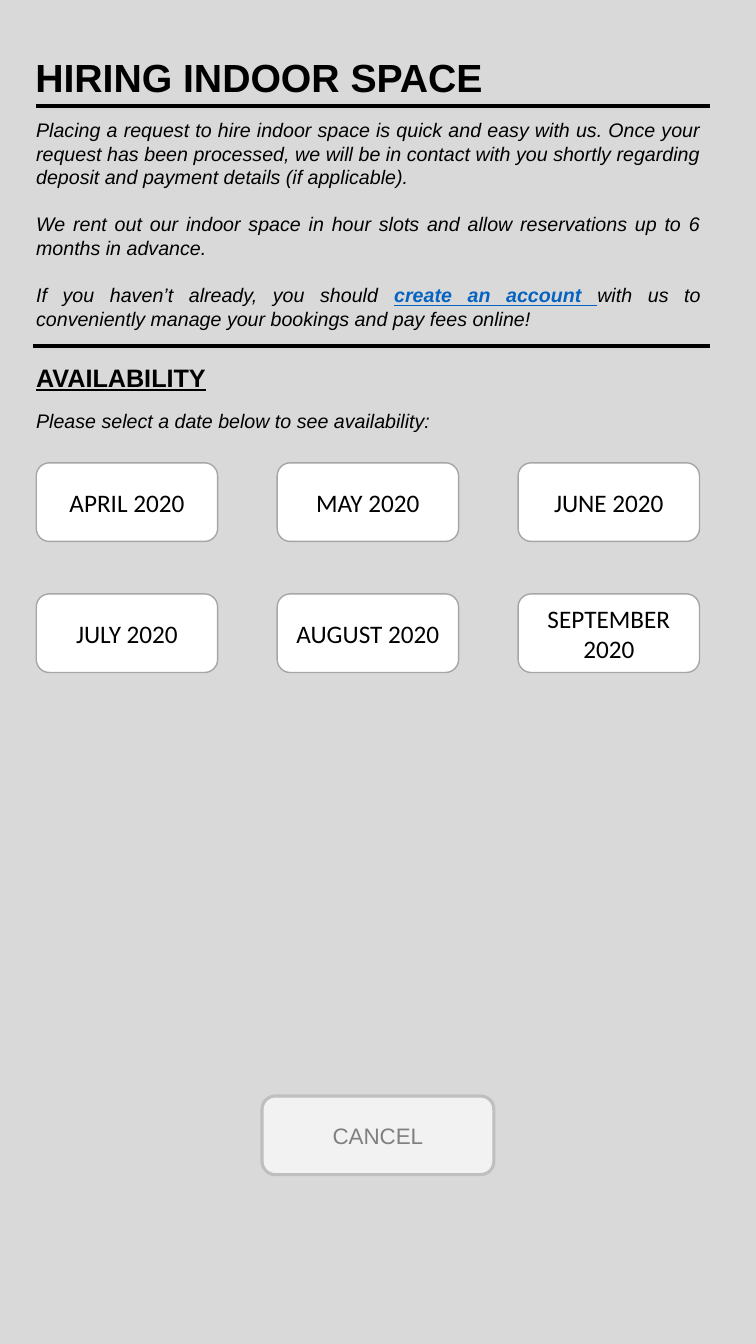
import pptx
import pptx.util
import pptx.dml.color
import pptx.enum.shapes
import pptx.enum.text
import pptx.oxml.ns
import lxml.etree

PX = 9144
HUES = {
    "page": "D9D9D9", "black": "000000", "white": "FFFFFF", "link": "0563C1",
    "edge": "A6A6A6", "pale": "F2F2F2", "rim": "BFBFBF", "dim": "808080",
}
ALIGN = pptx.enum.text.PP_ALIGN
ANCHOR = pptx.enum.text.MSO_ANCHOR
MONTHS = ["APRIL 2020", "MAY 2020", "JUNE 2020",
          "JULY 2020", "AUGUST 2020", "SEPTEMBER 2020"]
INTRO = [
    ["Placing a request to hire indoor space is quick and easy with us. "
     "Once your request has been processed, we will be in contact with you "
     "shortly regarding deposit and payment details (if applicable)."],
    ["We rent out our indoor space in hour slots and allow reservations "
     "up to 6 months in advance."],
    ["If you haven’t already, you should ",
     ("create an account ", {"hue": "link", "bold": True, "under": True}),
     "with us to conveniently manage your bookings and pay fees online!"],
]


def color(name):
    return pptx.dml.color.RGBColor.from_string(HUES[name])


def scale(*sizes):
    return [size * PX for size in sizes]


def style(font, size=14, face="Arial", hue="black", bold=False,
          slant=False, under=False):
    font.size = pptx.util.Pt(size)
    font.name = face
    font.color.rgb = color(hue)
    font.bold = bold
    font.italic = slant
    font.underline = under


def write(frame, text, align=ALIGN.LEFT, anchor=ANCHOR.TOP, gap=0, **form):
    frame.word_wrap = True
    frame.vertical_anchor = anchor
    paras = [[text]] if isinstance(text, str) else text
    for num, parts in enumerate(paras):
        para = frame.add_paragraph() if num else frame.paragraphs[0]
        para.alignment = align
        para.line_spacing = 1.0
        para.space_before = pptx.util.Pt(gap if num else 0)
        for part in parts:
            words, extra = (part, {}) if isinstance(part, str) else part
            run = para.add_run()
            run.text = words
            style(run.font, **{**form, **extra})


def label(slide, area, text, **form):
    box = slide.shapes.add_textbox(*scale(*area))
    write(box.text_frame, text, **form)


def title(slide, area, text, **form):
    head = slide.shapes.title
    head.left, head.top, head.width, head.height = scale(*area)
    head.text_frame.auto_size = pptx.enum.text.MSO_AUTO_SIZE.NONE
    write(head.text_frame, text, **form)


def rule(slide, left, right, top):
    line = slide.shapes.add_connector(
        pptx.enum.shapes.MSO_CONNECTOR.STRAIGHT, *scale(left, top, right, top))
    line.line.color.rgb = color("black")
    line.line.width = pptx.util.Pt(3)
    props = line._element.spPr
    lxml.etree.SubElement(props, pptx.oxml.ns.qn("a:effectLst"))


def button(slide, area, text, fill="white", edge="edge", weight=1, **form):
    shape = slide.shapes.add_shape(
        pptx.enum.shapes.MSO_SHAPE.ROUNDED_RECTANGLE, *scale(*area))
    shape.shadow.inherit = False
    shape.fill.solid()
    shape.fill.fore_color.rgb = color(fill)
    shape.line.color.rgb = color(edge)
    shape.line.width = pptx.util.Pt(weight)
    write(shape.text_frame, text, align=ALIGN.CENTER,
          anchor=ANCHOR.MIDDLE, **form)


def main():
    deck = pptx.Presentation()
    deck.slide_width, deck.slide_height = scale(750, 1333)
    slide = deck.slides.add_slide(deck.slide_layouts[5])
    slide.background.fill.solid()
    slide.background.fill.fore_color.rgb = color("page")

    title(slide, (25, 48, 590, 57), "HIRING INDOOR SPACE", size=28, bold=True)
    rule(slide, 36, 704, 105)
    label(slide, (26, 112, 679, 222), INTRO, align=ALIGN.JUSTIFY,
          gap=17, slant=True)
    rule(slide, 33, 704, 343)
    label(slide, (26, 354, 685, 40), "AVAILABILITY",
          size=18, bold=True, under=True)
    label(slide, (26, 401, 679, 34),
          "Please select a date below to see availability:", slant=True)

    for num, month in enumerate(MONTHS):
        row, col = divmod(num, 3)
        button(slide, (36 + 239 * col, 459 + 130 * row, 180, 78), month,
               size=18, face="Calibri")
    button(slide, (260, 1087, 230, 78), "CANCEL", fill="pale", edge="rim",
           weight=2.25, size=16, hue="dim")
    deck.save("out.pptx")


if __name__ == "__main__":
    main()
